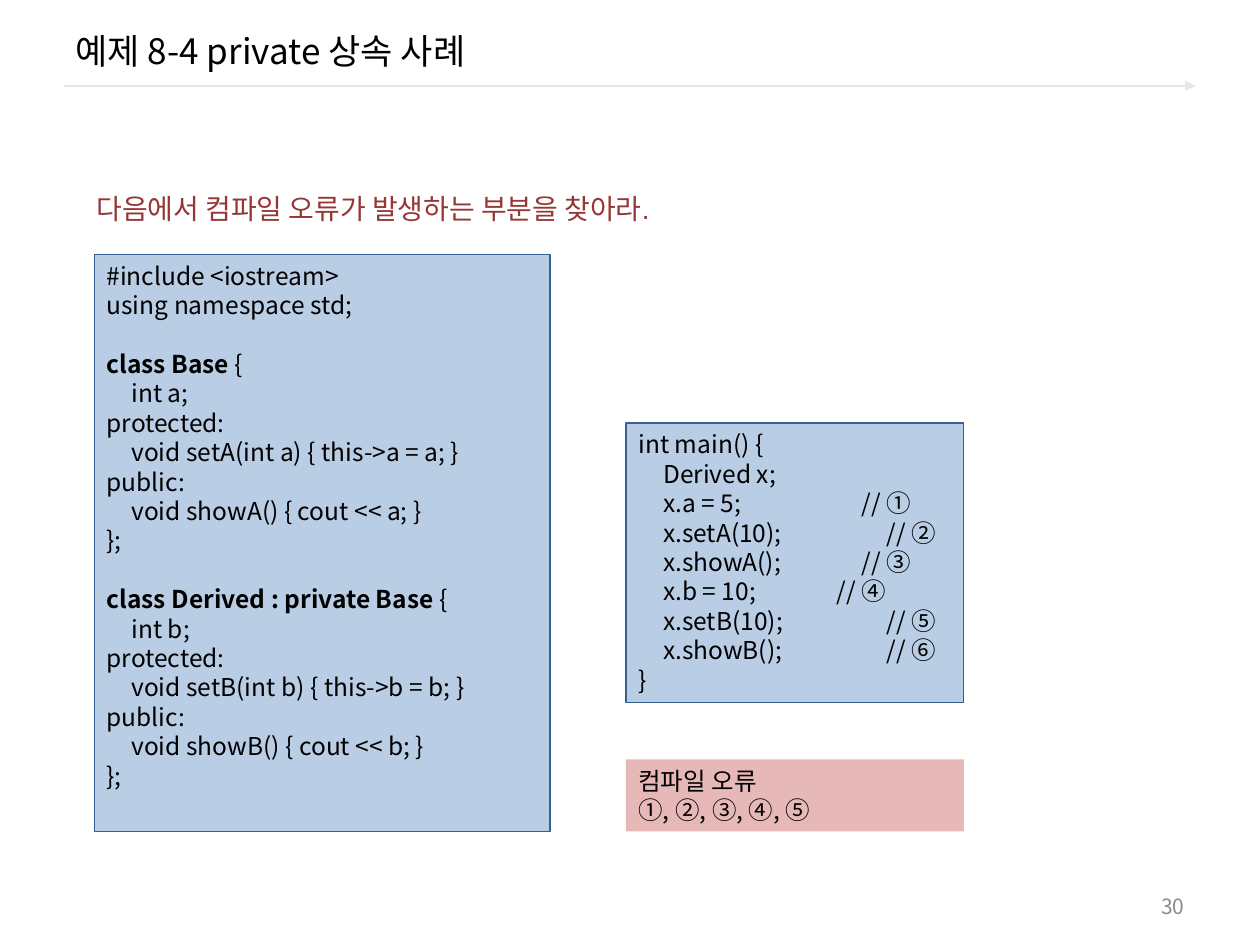
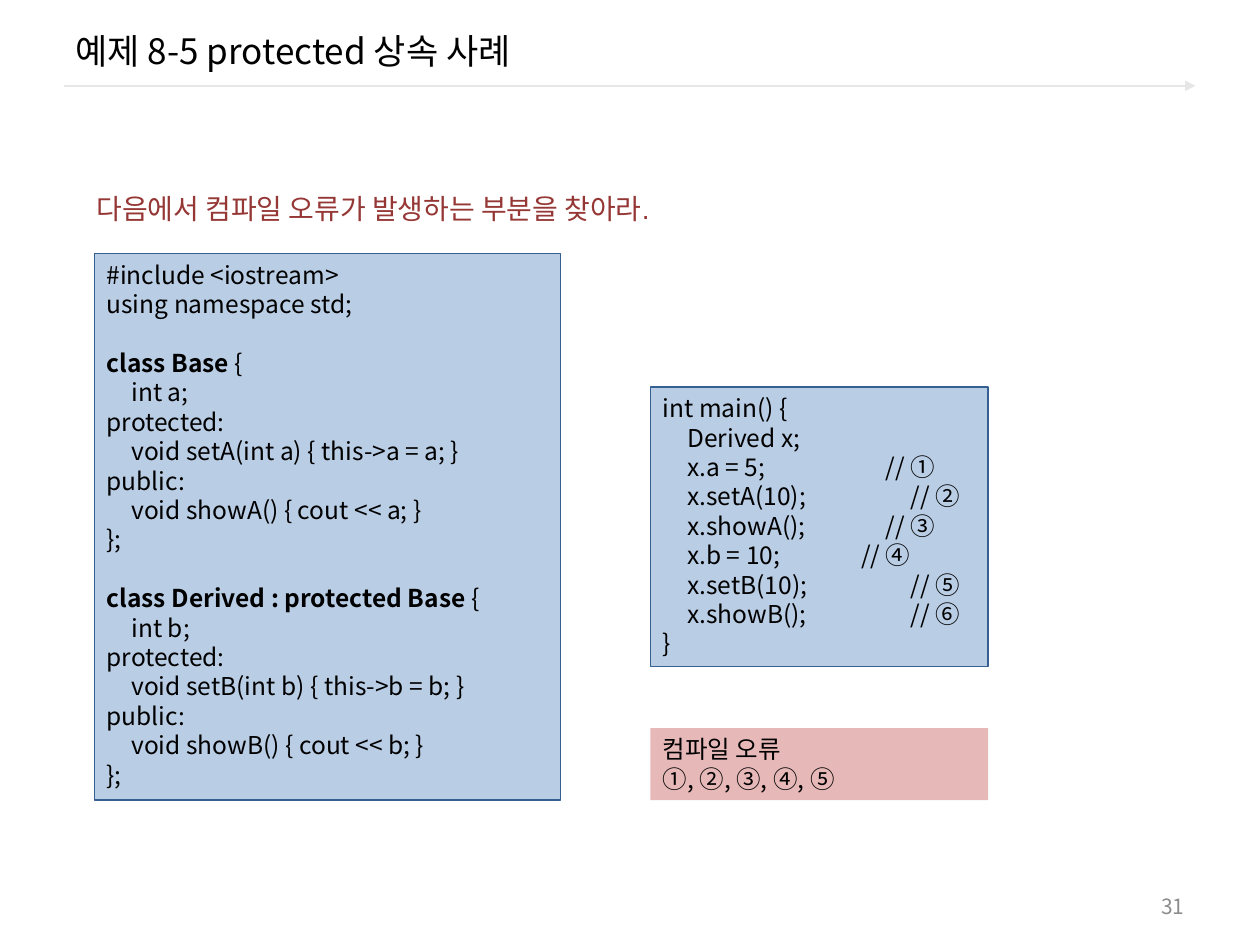
from dataclasses import dataclass

from lxml import etree
from pptx import Presentation
from pptx import util as u
from pptx.dml.color import RGBColor
from pptx.enum import shapes, text
from pptx.oxml import ns
from pptx.util import Cm

FONT = "Noto Sans CJK KR"
COLORS = {
    "ink": "000000",
    "rule": "E6E6E6",
    "number": "8C8C8C",
    "question": "953735",
    "code": "B9CDE5",
    "code_edge": "376092",
    "answer": "E6B9B8",
}
CODE_LEADING = u.Pt(16.8)
TAB_STEP = Cm(0.5)
TAB_COUNT = 10
LISTING_LEFT = Cm(1.9)
SIDE_WIDTH = Cm(6.81)
MAIN_HEIGHT = Cm(5.64)
ANSWER_HEIGHT = Cm(1.45)

QUESTION = "다음에서 컴파일 오류가 발생하는 부분을 찾아라."
ANSWER = "컴파일 오류\n①, ②, ③, ④, ⑤"
CLASSES = """#include <iostream>
using namespace std;

class Base {
\tint a;
protected:
\tvoid setA(int a) { this->a = a; }
public:
\tvoid showA() { cout << a; }
};

class Derived : ACCESS Base {
\tint b;
protected:
\tvoid setB(int b) { this->b = b; }
public:
\tvoid showB() { cout << b; }
};"""
MAIN = """int main() {
\tDerived x;
\tx.a = 5; \t\t\t\t\t// ①
\tx.setA(10); \t\t\t\t// ②
\tx.showA(); \t\t\t\t// ③
\tx.b = 10; \t\t\t\t// ④
\tx.setB(10); \t\t\t\t// ⑤
\tx.showB(); \t\t\t\t// ⑥
}"""


@dataclass(frozen=True)
class Box:
    left: int
    top: int
    width: int
    height: int

    @property
    def bounds(self) -> tuple[int, int, int, int]:
        return self.left, self.top, self.width, self.height


@dataclass(frozen=True)
class Example:
    number: str
    access: str
    page: int
    listing: Box
    side_left: int
    main_top: int


EXAMPLES = [
    Example("8-4", "private", 30,
            Box(LISTING_LEFT, Cm(5.13), Cm(9.19), Cm(11.63)), Cm(12.62), Cm(8.53)),
    Example("8-5", "protected", 31,
            Box(LISTING_LEFT, Cm(5.11), Cm(9.4), Cm(11.02)), Cm(13.11), Cm(7.8)),
]


def rgb(color: str) -> RGBColor:
    return RGBColor.from_string(COLORS[color])


def style(paragraph, size: float, color: str = "ink", latin: str = FONT) -> None:
    """Set the Latin and the Korean font of a whole paragraph."""
    font = paragraph.font
    font.name = latin
    font.size = u.Pt(size)
    font.color.rgb = rgb(color)
    defaults = paragraph._p.pPr.find(ns.qn("a:defRPr"))
    etree.SubElement(defaults, ns.qn("a:ea"), typeface=FONT)


def add_tab_stops(paragraph) -> None:
    stops = etree.SubElement(paragraph._p.get_or_add_pPr(), ns.qn("a:tabLst"))
    for step in range(1, TAB_COUNT + 1):
        etree.SubElement(stops, ns.qn("a:tab"), pos=str(step * TAB_STEP), algn="l")


def add_panel(slide, box: Box, content: str, fill: str, edge: str | None = None) -> None:
    """Draw a filled rectangle of code-like lines, with class heads in bold."""
    panel = slide.shapes.add_shape(shapes.MSO_SHAPE.RECTANGLE, *box.bounds)
    panel.shadow.inherit = False
    panel.fill.solid()
    panel.fill.fore_color.rgb = rgb(fill)
    if edge:
        panel.line.color.rgb = rgb(edge)
        panel.line.width = u.Pt(0.75)
    else:
        panel.line.fill.background()
    frame = panel.text_frame
    frame.word_wrap = True
    frame.vertical_anchor = text.MSO_ANCHOR.TOP
    for index, line in enumerate(content.split("\n")):
        paragraph = frame.add_paragraph() if index else frame.paragraphs[0]
        paragraph.alignment = text.PP_ALIGN.LEFT
        paragraph.line_spacing = CODE_LEADING
        add_tab_stops(paragraph)
        style(paragraph, 14)
        if line.startswith("class"):
            head = paragraph.add_run()
            head.text = line.removesuffix("{")
            head.font.bold = True
            line = "{"
        if line:
            paragraph.add_run().text = line


def add_label(slide, box: Box, content: str, size: float, color: str,
              latin: str = FONT, align=text.PP_ALIGN.LEFT,
              anchor=text.MSO_ANCHOR.TOP) -> None:
    frame = slide.shapes.add_textbox(*box.bounds).text_frame
    frame.word_wrap = True
    frame.vertical_anchor = anchor
    paragraph = frame.paragraphs[0]
    paragraph.text = content
    paragraph.alignment = align
    style(paragraph, size, color, latin)


def add_title(slide, content: str) -> None:
    title = slide.shapes.title
    title.left, title.top, title.width, title.height = (
        Cm(1.27), Cm(0.2), Cm(22.86), Cm(1.63))
    title.text_frame.vertical_anchor = text.MSO_ANCHOR.MIDDLE
    paragraph = title.text_frame.paragraphs[0]
    paragraph.text = content
    paragraph.alignment = text.PP_ALIGN.LEFT
    style(paragraph, 20)


def add_title_rule(slide) -> None:
    rule = slide.shapes.add_connector(
        shapes.MSO_CONNECTOR.STRAIGHT, Cm(1.3), Cm(1.73), Cm(24.1), Cm(1.73))
    rule.line.color.rgb = rgb("rule")
    rule.line.width = u.Pt(1.5)
    etree.SubElement(rule.line._get_or_add_ln(), ns.qn("a:tailEnd"), type="triangle")
    etree.SubElement(rule._element.spPr, ns.qn("a:effectLst"))


def add_example(deck, example: Example) -> None:
    slide = deck.slides.add_slide(deck.slide_layouts.get_by_name("Title Only"))
    add_title_rule(slide)
    add_title(slide, f"예제 {example.number} {example.access} 상속 사례")
    add_label(slide, Box(Cm(18.21), Cm(17.86), Cm(5.92), Cm(0.81)),
              str(example.page), 12, "number",
              align=text.PP_ALIGN.RIGHT, anchor=text.MSO_ANCHOR.MIDDLE)

    listing = example.listing
    add_panel(slide, listing, CLASSES.replace("ACCESS", example.access),
              "code", "code_edge")
    add_panel(slide, Box(example.side_left, example.main_top, SIDE_WIDTH, MAIN_HEIGHT),
              MAIN, "code", "code_edge")
    add_label(slide, Box(Cm(1.7), Cm(3.73), Cm(13.03), Cm(0.94)),
              QUESTION, 16, "question", latin="Arial")
    answer_top = listing.top + listing.height - ANSWER_HEIGHT
    add_panel(slide, Box(example.side_left, answer_top, SIDE_WIDTH, ANSWER_HEIGHT),
              ANSWER, "answer")


def main() -> None:
    deck = Presentation()
    deck.slide_width, deck.slide_height = Cm(25.4), Cm(19.05)
    for example in EXAMPLES:
        add_example(deck, example)
    deck.save("out.pptx")


if __name__ == "__main__":
    main()
